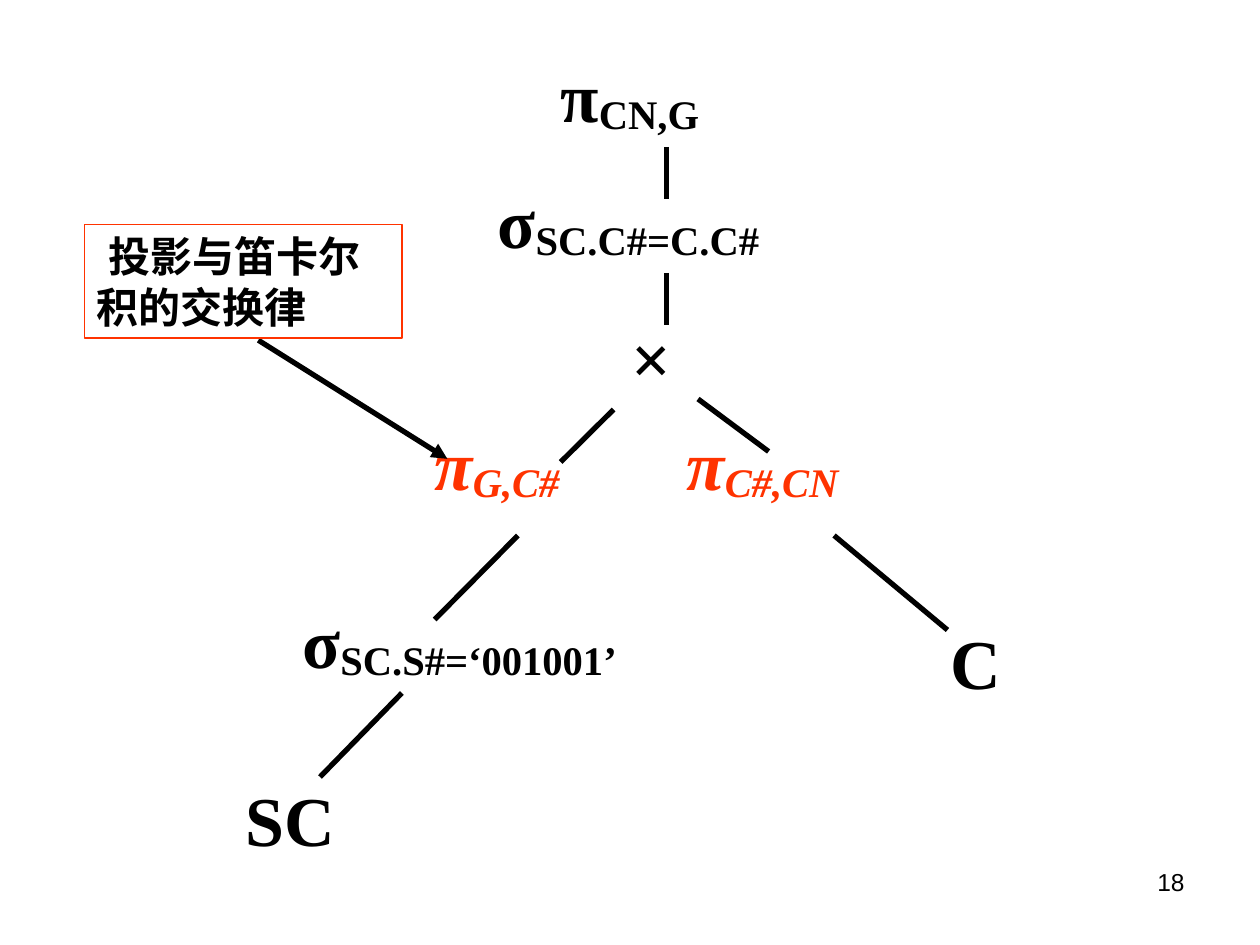
from dataclasses import dataclass

from lxml.etree import SubElement
from pptx import Presentation
from pptx.dml.color import RGBColor
from pptx.enum.shapes import MSO_CONNECTOR as Connector, MSO_SHAPE as Shape
from pptx.enum.text import PP_ALIGN as Align
from pptx.oxml.ns import qn
from pptx.util import Inches, Pt

WIDTH, HEIGHT = Inches(10), Inches(7.5)
COLUMN, ROW = WIDTH / 100, HEIGHT / 90


@dataclass(frozen=True)
class Theme:
    ink: RGBColor = RGBColor(0x00, 0x00, 0x00)
    accent: RGBColor = RGBColor(0xFF, 0x33, 0x00)
    math_font: str = "Times New Roman"
    text_font: str = "Arial"
    node_size: Pt = Pt(40)
    callout_size: Pt = Pt(24)
    number_size: Pt = Pt(14)
    branch_width: Pt = Pt(3)
    frame_width: Pt = Pt(0.75)


@dataclass(frozen=True)
class Node:
    column: float
    row: float
    columns: float
    symbol: str
    subscript: str = ""
    moved: bool = False  # a projection pushed below the product


@dataclass(frozen=True)
class Branch:
    start: tuple[float, float]
    end: tuple[float, float]
    arrow: bool = False


THEME = Theme()
NODE_ROWS = 8

NODES = [
    Node(44.5, 5, 19.6, "π", "CN,G"),
    Node(39.5, 17, 30, "σ", "SC.C#=C.C#"),
    Node(50.1, 30, 13.1, "×"),
    Node(34.5, 40, 19.6, "π", "G,C#", moved=True),
    Node(54.5, 40, 19.6, "π", "C#,CN", moved=True),
    Node(24, 57, 31.6, "σ", "SC.S#=‘001001’"),
    Node(75.4, 59, 7.1, "C"),
    Node(19.5, 74, 10, "SC"),
]

BRANCHES = [
    Branch((52.9, 14), (52.9, 19)),
    Branch((52.9, 26), (52.9, 31)),
    Branch((48.7, 39), (44.5, 44)),
    Branch((55.4, 38), (61, 43)),
    Branch((41.1, 51), (34.5, 59)),
    Branch((66.2, 51), (75.2, 60)),
    Branch((31.9, 66), (25.4, 74)),
    Branch((20.5, 32.4), (35.5, 43.7), arrow=True),
]


def place(column: float, row: float) -> tuple[int, int]:
    return round(column * COLUMN), round(row * ROW)


def draw_node(slide, node: Node) -> None:
    box = slide.shapes.add_textbox(
        *place(node.column, node.row), *place(node.columns, NODE_ROWS))
    frame = box.text_frame
    frame.word_wrap = True
    frame.margin_left = frame.margin_right = 0
    frame.margin_top = frame.margin_bottom = 0
    paragraph = frame.paragraphs[0]
    font = paragraph.font
    font.name, font.size, font.bold = THEME.math_font, THEME.node_size, True
    font.italic = node.moved
    font.color.rgb = THEME.accent if node.moved else THEME.ink
    paragraph.add_run().text = node.symbol
    if node.subscript:
        run = paragraph.add_run()
        run.text = node.subscript
        run.font._element.set("baseline", "-10000")


def draw_branch(slide, branch: Branch) -> None:
    connector = slide.shapes.add_connector(
        Connector.STRAIGHT, *place(*branch.start), *place(*branch.end))
    connector.line.color.rgb = THEME.ink
    connector.line.width = THEME.branch_width
    if branch.arrow:
        SubElement(connector.line._get_or_add_ln(), qn("a:tailEnd"), type="triangle")
    SubElement(connector._element.spPr, qn("a:effectLst"))


def draw_callout(slide, text: str) -> None:
    box = slide.shapes.add_shape(
        Shape.RECTANGLE, *place(6.7, 21.4), *place(25.2, 10.8))
    box.shadow.inherit = False
    box.fill.background()
    box.line.color.rgb = THEME.accent
    box.line.width = THEME.frame_width
    box.text_frame.word_wrap = True
    paragraph = box.text_frame.paragraphs[0]
    paragraph.alignment = Align.LEFT
    paragraph._p.get_or_add_pPr().set("indent", str(Inches(0.09)))
    paragraph.add_run().text = text
    font = paragraph.font
    font.name, font.size, font.bold = THEME.text_font, THEME.callout_size, True
    font.color.rgb = THEME.ink


def draw_slide_number(slide, number: str) -> None:
    box = slide.shapes.add_textbox(*place(71.7, 82), *place(23.3, 6.2))
    box.text_frame.word_wrap = True
    paragraph = box.text_frame.paragraphs[0]
    paragraph.alignment = Align.RIGHT
    paragraph.add_run().text = number
    font = paragraph.font
    font.name, font.size = THEME.text_font, THEME.number_size
    font.color.rgb = THEME.ink


def main() -> None:
    presentation = Presentation()
    presentation.slide_width, presentation.slide_height = WIDTH, HEIGHT
    slide = presentation.slides.add_slide(presentation.slide_layouts[6])

    # Query tree
    for node in NODES:
        draw_node(slide, node)
    for branch in BRANCHES:
        draw_branch(slide, branch)

    # Rule that the arrow explains, and page number
    draw_callout(slide, "投影与笛卡尔积的交换律")
    draw_slide_number(slide, "18")
    presentation.save("out.pptx")


if __name__ == "__main__":
    main()
